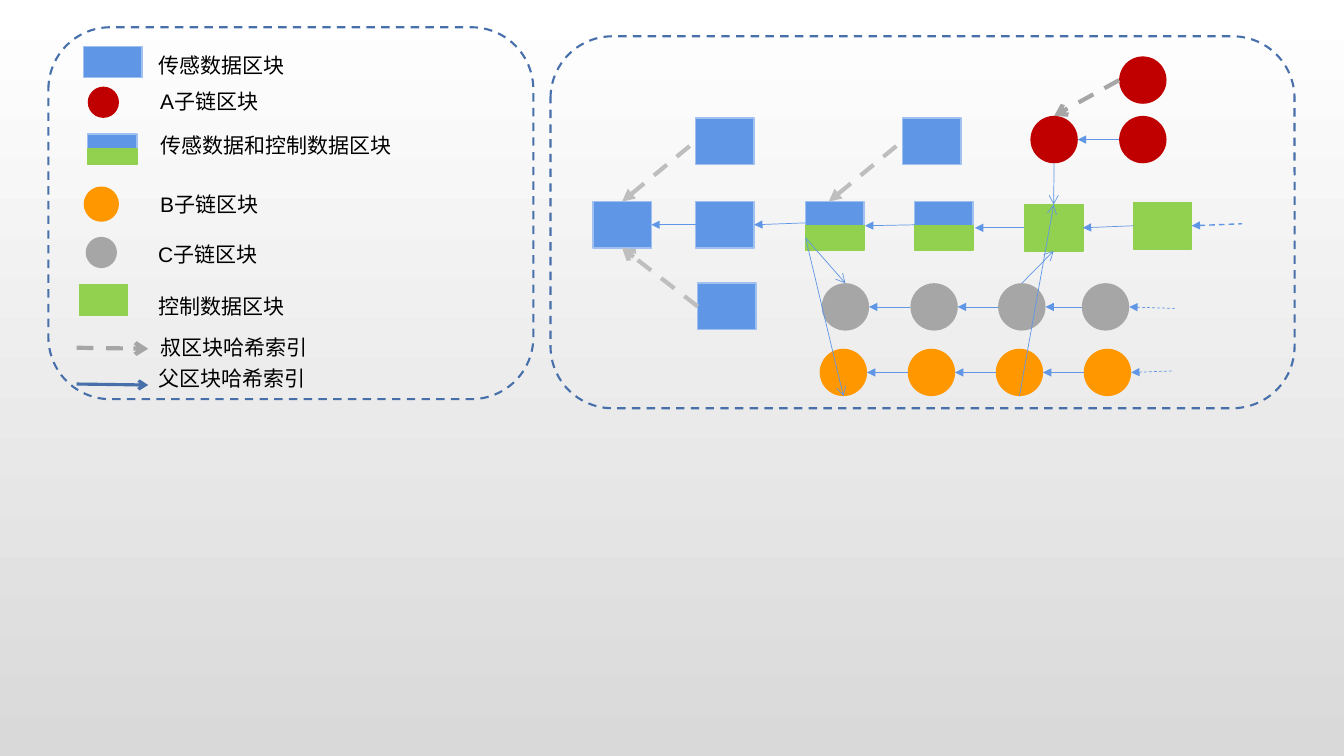
from lxml import etree
from pptx import Presentation
from pptx.dml.color import RGBColor
from pptx.enum.dml import MSO_LINE
from pptx.enum.shapes import MSO_CONNECTOR, MSO_SHAPE
from pptx.enum.text import MSO_AUTO_SIZE
from pptx.oxml.ns import qn
from pptx.util import Inches, Pt

RECT = MSO_SHAPE.RECTANGLE
OVAL = MSO_SHAPE.OVAL
ROUNDED = MSO_SHAPE.ROUNDED_RECTANGLE
STRAIGHT = MSO_CONNECTOR.STRAIGHT
DASH = MSO_LINE.DASH
FIT_TEXT = MSO_AUTO_SIZE.SHAPE_TO_FIT_TEXT

CELL = Inches(0.1)
BLOCK_W, BLOCK_H, CIRCLE = 5.8, 4.6, 4.7
TOP, LEFT, BOTTOM, RIGHT = range(4)
SIDES = {TOP: (0.5, 0), LEFT: (0, 0.5), BOTTOM: (0.5, 1), RIGHT: (1, 0.5)}

BLUE, BLUE_EDGE, GREEN = "6096E6", "A0C0F0", "92D050"
RED, ORANGE, GREY, NAVY = "C00000", "FF9800", "A6A6A6", "476FAA"
UNCLE_GREY = "BEBEBE"
EDGES = {BLUE: BLUE_EDGE, GREEN: GREEN}

LABEL_FRAME = {"word_wrap": True, "auto_size": FIT_TEXT}
LABEL_FONT = {"name": "Arial", "size": Pt(15)}
BACK = {"headEnd": "triangle"}
AHEAD = {"tailEnd": "arrow"}

LABELS = [
    (14.7, 4.7, 32.9, "传感数据区块"),
    (14.9, 8.3, 24.3, "A子链区块"),
    (14.9, 12.7, 32.6, "传感数据和控制数据区块"),
    (14.9, 18.5, 24.3, "B子链区块"),
    (14.7, 23.5, 27.8, "C子链区块"),
    (14.7, 28.6, 27.8, "控制数据区块"),
    (14.9, 32.7, 27.8, "叔区块哈希索引"),
    (14.7, 35.8, 27.8, "父区块哈希索引"),
]


def cells(*counts):
    return [int(count * CELL) for count in counts]


def color(value):
    return RGBColor.from_string(value)


def apply(target, values):
    for name, value in values.items():
        setattr(target, name, value)


def outline(line, hue, width, dash=None):
    line.color.rgb = color(hue)
    line.width = Pt(width)
    if dash:
        line.dash_style = dash


def add_outline_shape(slide, kind, x, y, w, h):
    shape = slide.shapes.add_shape(kind, *cells(x, y, w, h))
    shape.shadow.inherit = False
    return shape


def panel(slide, x, y, w, h):
    frame = add_outline_shape(slide, ROUNDED, x, y, w, h)
    frame.fill.background()
    outline(frame.line, NAVY, 1.5, DASH)


def block(slide, x, y, hue, w=BLOCK_W, h=BLOCK_H):
    box = add_outline_shape(slide, RECT, x, y, w, h)
    box.fill.solid()
    box.fill.fore_color.rgb = color(hue)
    outline(box.line, EDGES[hue], 1)
    return box


def split_block(slide, x, y, w=BLOCK_W, h=4.8):
    block(slide, x, y, BLUE, w, h / 2)
    return block(slide, x, y + h / 2, GREEN, w, h / 2)


def circle(slide, x, y, hue, size=CIRCLE):
    disc = add_outline_shape(slide, OVAL, x, y, size, size)
    disc.fill.solid()
    disc.fill.fore_color.rgb = color(hue)
    disc.line.fill.background()
    return disc


def label(slide, x, y, w, words):
    frame = slide.shapes.add_textbox(*cells(x, y, w, 3.5)).text_frame
    apply(frame, LABEL_FRAME)
    run = frame.paragraphs[0].add_run()
    run.text = words
    apply(run.font, LABEL_FONT)
    run.font.color.rgb = color("000000")


def locate(end):
    first, second = end
    if isinstance(first, (int, float)):
        return cells(first, second)
    across, down = SIDES[second]
    return [int(first.left + across * first.width), int(first.top + down * first.height)]


def is_block_side(end):
    return not isinstance(end[0], (int, float)) and end[0].auto_shape_type == RECT


def link(slide, start, finish, tips, hue=BLUE, width=0.5, dash=None):
    line = slide.shapes.add_connector(STRAIGHT, *locate(start), *locate(finish))
    if is_block_side(start):
        line.begin_connect(*start)
    if is_block_side(finish):
        line.end_connect(*finish)
    outline(line.line, hue, width, dash)
    for tag, tip in tips.items():
        etree.SubElement(line.line._get_or_add_ln(), qn("a:" + tag), type=tip)
    etree.SubElement(line._element.spPr, qn("a:effectLst"))


def child_chain(slide, columns, y, hue, last_point):
    discs = [circle(slide, x, y, hue) for x in columns]
    for parent, child in zip(discs, discs[1:]):
        link(slide, (parent, RIGHT), (child, LEFT), BACK)
    link(slide, (discs[-1], RIGHT), last_point, BACK, dash=DASH)
    return discs


def chain_diagram(slide):
    panel(slide, 54.6, 3.6, 73.8, 36.9)
    root, sensor = [block(slide, x, 20, BLUE) for x in (58.8, 69)]
    fork, _ = [split_block(slide, x, 20) for x in (79.9, 90.7)]
    control = block(slide, 101.6, 20.3, GREEN)
    newest = block(slide, 112.4, 20.1, GREEN)
    upper, lower, middle = [
        block(slide, x, y, BLUE) for x, y in ((69, 11.7), (69.2, 28.1), (89.5, 11.7))
    ]
    orange = child_chain(slide, [81.3 + 8.73 * i for i in range(4)], 34.6, ORANGE, (116.2, 36.8))
    grey = child_chain(slide, (81.5, 90.3, 99, 107.3), 28.1, GREY, (116.5, 30.6))
    red_root, red_child, red_uncle = [
        circle(slide, x, y, RED) for x, y in ((102.2, 11.5), (111, 11.5), (111, 5.6))
    ]

    for parent, child in [
        ((root, RIGHT), (sensor, LEFT)),
        ((sensor, RIGHT), (80.2, 22.1)),
        ((85.8, 22.4), (90.8, 22.3)),
        ((96.7, 22.6), (control, LEFT)),
        ((control, RIGHT), (newest, LEFT)),
        ((red_root, RIGHT), (red_child, LEFT)),
    ]:
        link(slide, parent, child, BACK)
    link(slide, (newest, RIGHT), (123.2, 22.2), BACK, width=1, dash=DASH)

    for start, finish in [
        ((fork, LEFT), (grey[0], TOP)),
        ((fork, LEFT), (orange[0], BOTTOM)),
        ((orange[2], BOTTOM), (control, TOP)),
        ((grey[2], TOP), (control, BOTTOM)),
        ((red_root, BOTTOM), (control, TOP)),
    ]:
        link(slide, start, finish, AHEAD)

    for start, finish, tips, hue in [
        ((root, TOP), (upper, LEFT), BACK, UNCLE_GREY),
        ((lower, LEFT), (root, BOTTOM), AHEAD, UNCLE_GREY),
        ((82.2, 20), (middle, LEFT), BACK, UNCLE_GREY),
        ((red_uncle, LEFT), (red_root, TOP), AHEAD, GREY),
    ]:
        link(slide, start, finish, tips, hue, 3, DASH)


def legend(slide):
    panel(slide, 4.8, 2.7, 48.1, 36.9)
    block(slide, 8.3, 4.6, BLUE, h=3.1)
    circle(slide, 8.7, 8.6, RED, 3.1)
    split_block(slide, 8.7, 13.3, 4.9, 3)
    circle(slide, 8.3, 18.5, ORANGE, 3.5)
    circle(slide, 8.5, 23.5, GREY, 3.1)
    block(slide, 7.9, 28.2, GREEN, 4.7, 3.1)
    link(slide, (7.6, 34.5), (14.7, 34.6), AHEAD, GREY, 3, DASH)
    link(slide, (7.6, 38.1), (14.7, 38.2), AHEAD, NAVY, 2.25)
    for entry in LABELS:
        label(slide, *entry)


def paint_background(slide):
    fill = slide.background.fill
    fill.gradient()
    fill.gradient_angle = 270
    for stop, hue, position in zip(fill.gradient_stops, ("FFFFFF", "D9D9D9"), (0, 1)):
        stop.color.rgb = color(hue)
        stop.position = position


def main():
    deck = Presentation()
    apply(deck, {"slide_width": Inches(13.33), "slide_height": Inches(7.5)})
    slide = deck.slides.add_slide(deck.slide_layouts[6])
    paint_background(slide)
    chain_diagram(slide)
    legend(slide)
    deck.save("out.pptx")


if __name__ == "__main__":
    main()
